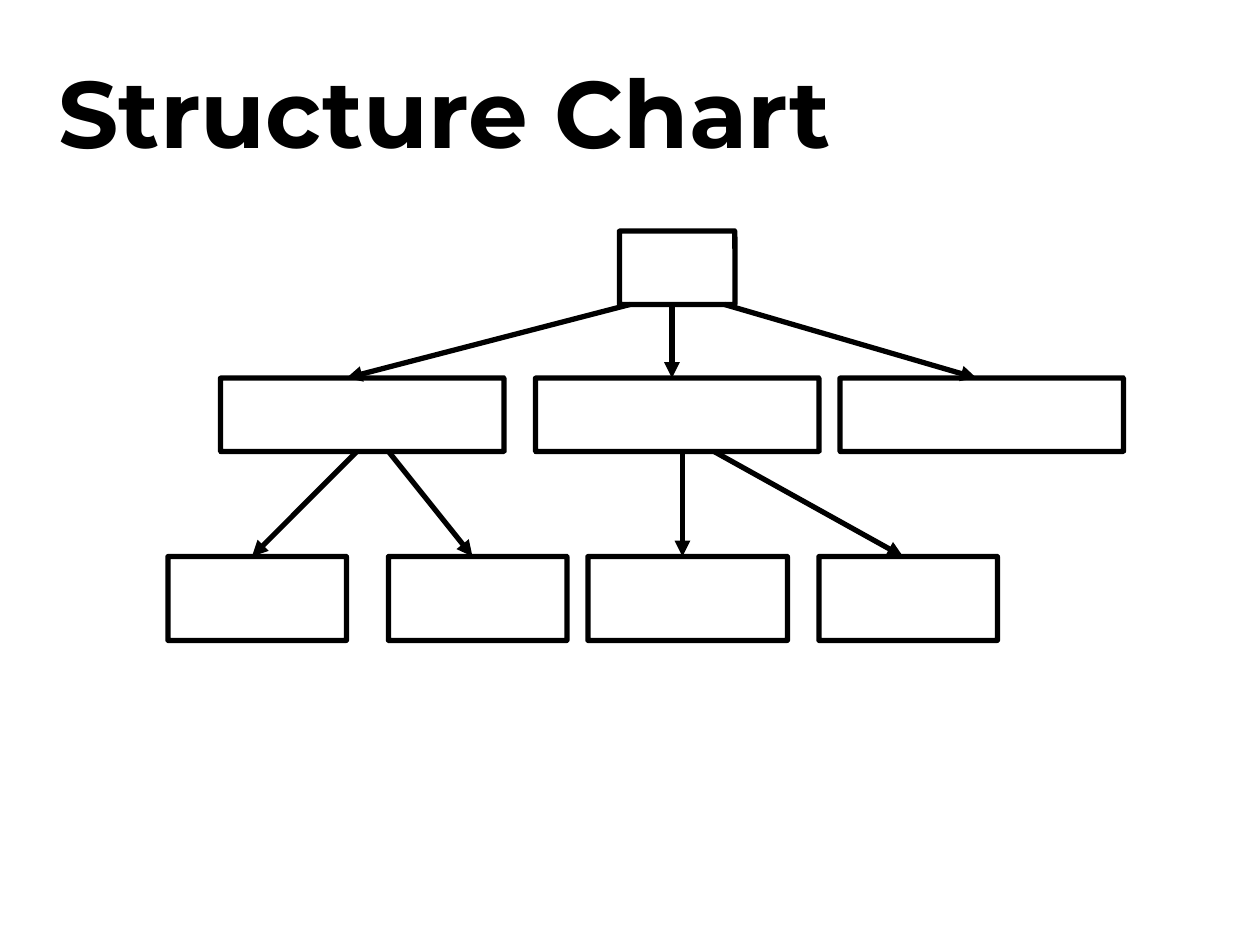
"""Build a structure chart slide with three levels of empty boxes."""
from lxml.etree import SubElement
from pptx import Presentation
from pptx.dml.color import RGBColor
from pptx.enum.shapes import MSO_CONNECTOR, MSO_SHAPE
from pptx.enum.text import MSO_ANCHOR, PP_ALIGN
from pptx.oxml.ns import qn
from pptx.util import Pt


def color(value):
    return RGBColor.from_string(value)


def write(frame, text, font="Montserrat", size=54, bold=True, fill="000000", align=PP_ALIGN.LEFT):
    para = frame.paragraphs[0]
    para.alignment = align
    para.space_before = Pt(0)
    span = para.add_run()
    span.text = text
    span.font.name = font
    span.font.size = Pt(size)
    span.font.bold = bold
    span.font.color.rgb = color(fill)


deck = Presentation()
deck.slide_width, deck.slide_height = Pt(720), Pt(540)
page = deck.slides.add_slide(deck.slide_layouts[5])
page.background.fill.solid()
page.background.fill.fore_color.rgb = color("FFFFFF")

title = page.shapes.title
title.left, title.top, title.width, title.height = Pt(32), Pt(18), Pt(612), Pt(90)
frame = title.text_frame
frame.word_wrap = True
frame.vertical_anchor = MSO_ANCHOR.MIDDLE
frame.margin_left = frame.margin_right = Pt(1.5)
frame.margin_top = frame.margin_bottom = Pt(3.6)
write(frame, "Structure Chart")

levels = [
    (132, 42, [(354, 66)]),
    (216, 42, [(126, 162), (306, 162), (480, 162)]),
    (318, 48, [(96, 102), (222, 102), (336, 114), (468, 102)]),
]
for top, height, boxes in levels:
    for left, width in boxes:
        box = page.shapes.add_shape(
            MSO_SHAPE.ROUNDED_RECTANGLE, Pt(left), Pt(top), Pt(width), Pt(height))
        box.adjustments[0] = 0.003
        box.shadow.inherit = False
        box.fill.background()
        box.line.color.rgb = color("000000")
        box.line.width = Pt(3)

arrow_rows = [
    (174, 216, [(360, 198), (384, 384), (414, 558)]),
    (258, 318, [(204, 144), (222, 270), (390, 390), (408, 516)]),
]
for start_y, end_y, arrows in arrow_rows:
    for start_x, end_x in arrows:
        arrow = page.shapes.add_connector(
            MSO_CONNECTOR.STRAIGHT, Pt(start_x), Pt(start_y), Pt(end_x), Pt(end_y))
        arrow.line.color.rgb = color("000000")
        arrow.line.width = Pt(3)
        SubElement(arrow.line._get_or_add_ln(), qn("a:tailEnd"), type="triangle")
        SubElement(arrow._element.spPr, qn("a:effectLst"))

deck.save("out.pptx")
